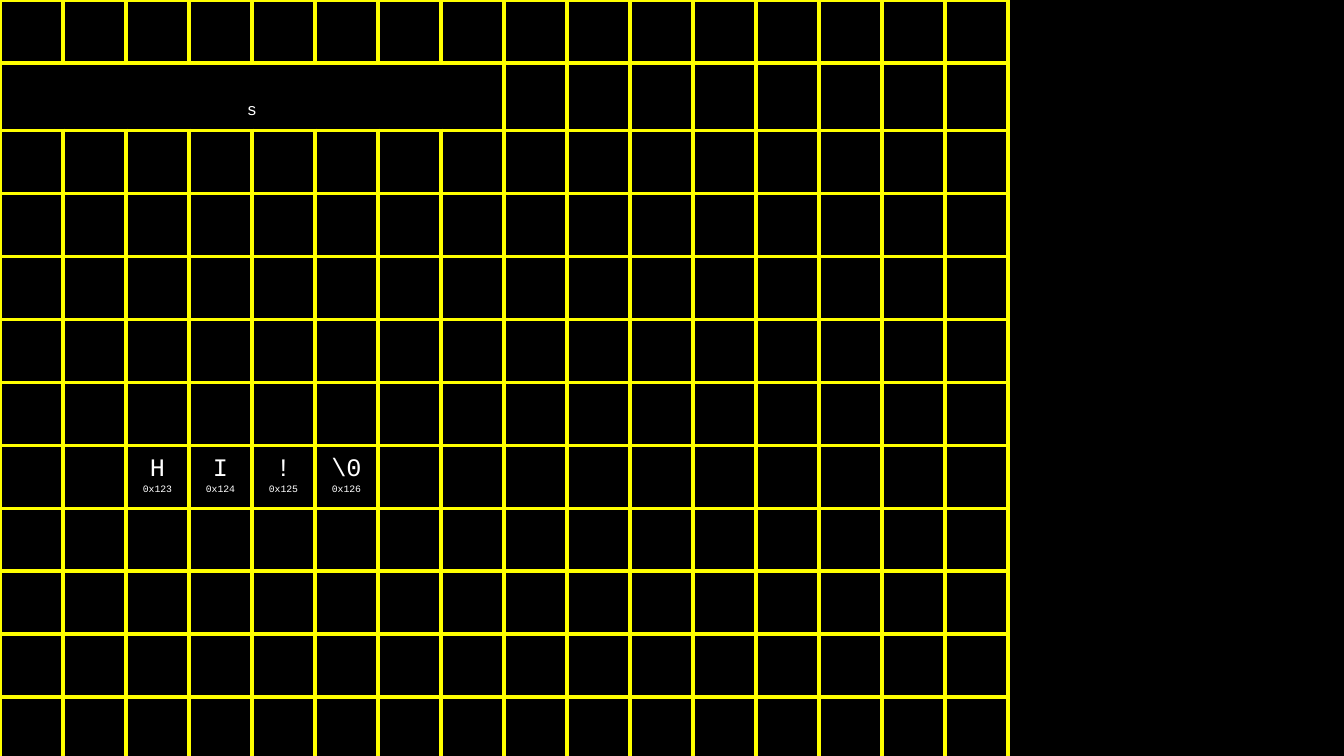
"""Draw a memory grid with a pointer s and the bytes of a string."""
import lxml.etree
import pptx
import pptx.dml.color
import pptx.enum.text
import pptx.oxml.ns
import pptx.util

SLIDE_WIDTH, SLIDE_HEIGHT = 13.33, 7.5
COLUMNS, ROWS = 16, 12
BYTE_SIZE = SLIDE_HEIGHT / ROWS
POINTER_ROW, POINTER_BYTES, POINTER_HEIGHT = 1, 8, 0.67
STRING_ROW, STRING_COLUMN, FIRST_ADDRESS = 7, 2, 0x123
LETTERS = ["H", "I", "!", "\\0"]
BACKGROUND, GRID_COLOUR, TEXT_COLOUR = "000000", "FFFF00", "FFFFFF"
GRID_WEIGHT = 3
MARGIN = pptx.util.Inches(0.1)
CELL_FORMAT = {"margin_left": MARGIN, "margin_right": MARGIN,
               "margin_top": MARGIN, "margin_bottom": MARGIN}
TABLE_FORMAT = {"first_row": False, "horz_banding": False}


def colour(hex_code):
    return pptx.dml.color.RGBColor.from_string(hex_code)


def apply_format(target, values):
    for name, value in values.items():
        setattr(target, name, value)


def add_border(cell):
    properties = cell._tc.get_or_add_tcPr()
    for position, side in enumerate(["lnL", "lnR", "lnT", "lnB"]):
        line = lxml.etree.Element(pptx.oxml.ns.qn(f"a:{side}"),
                                  w=str(pptx.util.Pt(GRID_WEIGHT)))
        fill = lxml.etree.SubElement(line, pptx.oxml.ns.qn("a:solidFill"))
        lxml.etree.SubElement(fill, pptx.oxml.ns.qn("a:srgbClr"), val=GRID_COLOUR)
        properties.insert(position, line)


def write_lines(cell, lines):
    cell.text = "\n".join(text for text, size in lines)
    for paragraph, (text, size) in zip(cell.text_frame.paragraphs, lines):
        paragraph.alignment = pptx.enum.text.PP_ALIGN.CENTER
        font = paragraph.runs[0].font
        apply_format(font, {"name": "Courier New", "size": pptx.util.Pt(size),
                            "bold": False})
        font.color.rgb = colour(TEXT_COLOUR)


def add_memory_grid(slide):
    side = pptx.util.Inches(BYTE_SIZE)
    memory = slide.shapes.add_table(ROWS, COLUMNS, 0, 0,
                                    side * COLUMNS, side * ROWS).table
    apply_format(memory, TABLE_FORMAT)
    for column in memory.columns:
        column.width = side
    for row in memory.rows:
        row.height = side
    memory.rows[POINTER_ROW].height = pptx.util.Inches(POINTER_HEIGHT)
    for cell in memory.iter_cells():
        cell.fill.background()
        apply_format(cell, CELL_FORMAT)
        add_border(cell)
    return memory


def add_pointer(memory):
    pointer = memory.cell(POINTER_ROW, 0)
    pointer.merge(memory.cell(POINTER_ROW, POINTER_BYTES - 1))
    pointer.vertical_anchor = pptx.enum.text.MSO_ANCHOR.BOTTOM
    write_lines(pointer, [("s", 12)])


def add_string(memory):
    for offset, letter in enumerate(LETTERS):
        write_lines(memory.cell(STRING_ROW, STRING_COLUMN + offset),
                    [(letter, 18), (f"0x{FIRST_ADDRESS + offset:x}", 7)])


def main():
    deck = pptx.Presentation()
    apply_format(deck, {"slide_width": pptx.util.Inches(SLIDE_WIDTH),
                        "slide_height": pptx.util.Inches(SLIDE_HEIGHT)})
    slide = deck.slides.add_slide(deck.slide_layouts[6])
    slide.background.fill.solid()
    slide.background.fill.fore_color.rgb = colour(BACKGROUND)
    memory = add_memory_grid(slide)
    add_pointer(memory)
    add_string(memory)
    deck.save("out.pptx")


if __name__ == "__main__":
    main()
